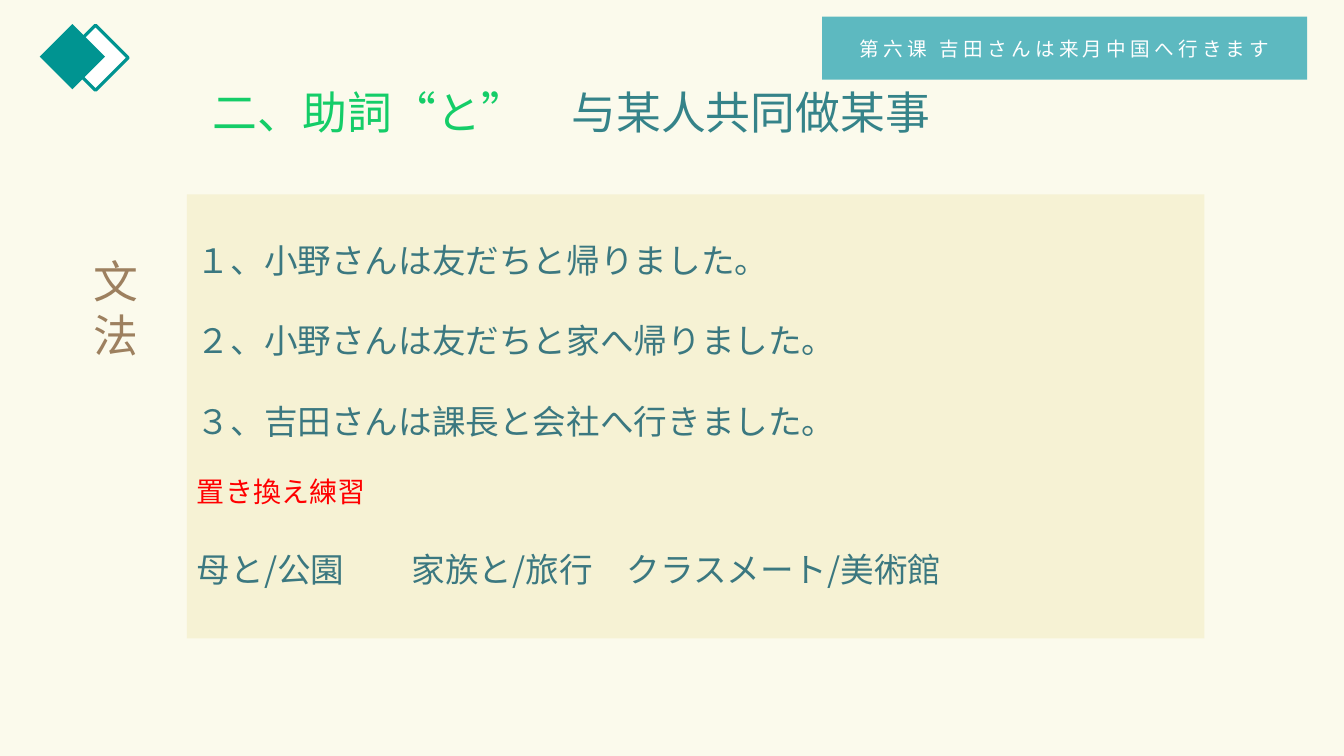
from lxml.etree import SubElement
from pptx import Presentation
from pptx.dml.color import RGBColor
from pptx.enum.shapes import MSO_SHAPE
from pptx.enum.text import MSO_ANCHOR, MSO_AUTO_SIZE, PP_ALIGN
from pptx.oxml.ns import qn
from pptx.util import Pt

PX = 9525  # EMU in one pixel, 96 to the inch
CJK_FONT = "Noto Sans CJK SC"
TEAL, TEXT_TEAL, WHITE = "009491", "3B7880", "FFFFFF"
EXAMPLES = [
    "１、小野さんは友だちと帰りました。",
    "２、小野さんは友だちと家へ帰りました。",
    "３、吉田さんは課長と会社へ行きました。",
]
PRACTICE_HEADING = "置き換え練習"
PRACTICE_WORDS = "母と/公園　　家族と/旅行　クラスメート/美術館"


def color(hex_string):
    return RGBColor.from_string(hex_string)


def place(shape, box):
    shape.left, shape.top, shape.width, shape.height = [side * PX for side in box]


def paint(shape, fill):
    shape.fill.solid()
    shape.fill.fore_color.rgb = color(fill)


def add_rectangle(shapes, box, fill):
    shape = shapes.add_shape(MSO_SHAPE.RECTANGLE, *[side * PX for side in box])
    shape.shadow.inherit = False
    paint(shape, fill)
    shape.line.fill.background()
    return shape


def set_up_frame(shape, anchor=MSO_ANCHOR.TOP):
    frame = shape.text_frame
    frame.word_wrap = True
    frame.auto_size = MSO_AUTO_SIZE.NONE
    frame.vertical_anchor = anchor
    return frame


def format_run(run, size, fill, font=CJK_FONT):
    run.font.size = Pt(size)
    run.font.name = font
    run.font.color.rgb = color(fill)
    if font == CJK_FONT:
        SubElement(run.font._element, qn("a:ea"), typeface=font)


# Two overlapping diamonds, outlined one behind
def add_diamonds(slide, box):
    left, top, width, side = box
    group = slide.shapes.add_group_shape()
    outlined = add_rectangle(group.shapes, (left + width - side, top, side, side), WHITE)
    outlined.line.color.rgb = color(TEAL)
    outlined.line.width = Pt(2.25)
    solid = add_rectangle(group.shapes, (left, top - 1, side, side), TEAL)
    for diamond in (outlined, solid):
        diamond.rotation = 315


# Lesson name in the top right corner
def add_lesson_banner(slide, box):
    frame = set_up_frame(add_rectangle(slide.shapes, box, "5DB9C0"), MSO_ANCHOR.MIDDLE)
    frame.text = "第六课 吉田さんは来月中国へ行きます"
    paragraph = frame.paragraphs[0]
    paragraph.alignment = PP_ALIGN.CENTER
    run = paragraph.runs[0]
    format_run(run, 14, WHITE)
    run.font._element.set("spc", "300")


# Grammar point: gradient term, then its meaning
def add_title(slide, box):
    title = slide.shapes.title
    place(title, box)
    paragraph = set_up_frame(title).paragraphs[0]
    paragraph.alignment = PP_ALIGN.LEFT
    for text in ("二、助詞“と”　", "与某人共同做某事"):
        run = paragraph.add_run()
        run.text = text
        format_run(run, 32, "358389")
    term_fill = paragraph.runs[0].font.fill
    term_fill.gradient()
    term_fill.gradient_angle = 0
    for stop, hex_string in zip(term_fill.gradient_stops, ("14CD68", "035C7D")):
        stop.color.rgb = color(hex_string)


# Example sentences and substitution practice
def add_examples(slide, box):
    body = slide.placeholders[1]
    place(body, box)
    paint(body, "F6F2D4")
    frame = set_up_frame(body)
    frame.text = "\n".join([*EXAMPLES, PRACTICE_HEADING, PRACTICE_WORDS])
    for paragraph in frame.paragraphs:
        paragraph.line_spacing = 2.0
        paragraph.space_before = Pt(0)
        properties = paragraph._p.get_or_add_pPr()
        properties.set("marL", "0")
        properties.set("indent", "0")
        SubElement(properties, qn("a:buNone"))
        is_heading = paragraph.text == PRACTICE_HEADING
        size, fill = (20, "FF0000") if is_heading else (24, TEXT_TEAL)
        format_run(paragraph.runs[0], size, fill)


# Section name, one character to a line
def add_section_label(slide, box):
    label = slide.shapes.add_textbox(*[side * PX for side in box])
    frame = set_up_frame(label)
    frame.text = "文\n法"
    for paragraph in frame.paragraphs:
        format_run(paragraph.runs[0], 32, "9D805F", "Arial")


def main():
    presentation = Presentation()
    presentation.slide_width, presentation.slide_height = 1280 * PX, 720 * PX
    slide = presentation.slides.add_slide(presentation.slide_layouts[1])
    slide.background.fill.solid()
    slide.background.fill.fore_color.rgb = color("FBFAEC")

    add_diamonds(slide, (47, 33, 66, 44))
    add_lesson_banner(slide, (783, 16, 462, 60))
    add_title(slide, (193, 76, 809, 119))
    add_examples(slide, (178, 185, 969, 423))
    add_section_label(slide, (80, 237, 70, 113))
    presentation.save("out.pptx")


if __name__ == "__main__":
    main()
